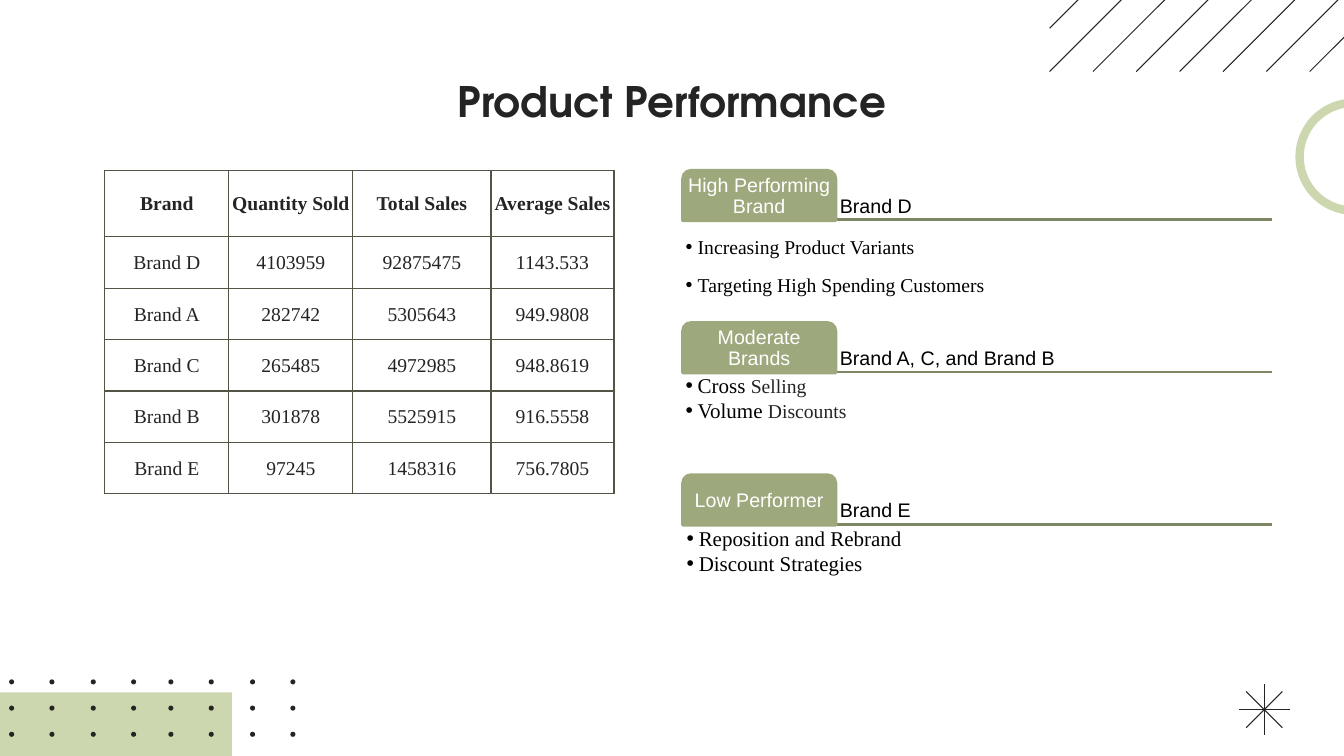
from lxml.etree import SubElement
from pptx import Presentation
from pptx.dml.color import RGBColor
from pptx.enum.shapes import MSO_CONNECTOR, MSO_SHAPE as SHAPE
from pptx.enum.text import MSO_ANCHOR as ANCHOR, PP_ALIGN as ALIGN
from pptx.oxml.ns import qn
from pptx.util import Pt

PX = 9144
COLORS = {
    "ink": "242424", "black": "000000", "white": "FFFFFF", "pale": "CCD6AF",
    "sage": "9DA87C", "rule": "7E8763", "border": "515544",
}
SERIF, SANS, DISPLAY = "Times New Roman", "Arial", "TeX Gyre Adventor"

SALES = [
    ("Brand", "Quantity Sold", "Total Sales", "Average Sales"),
    ("Brand D", "4103959", "92875475", "1143.533"),
    ("Brand A", "282742", "5305643", "949.9808"),
    ("Brand C", "265485", "4972985", "948.8619"),
    ("Brand B", "301878", "5525915", "916.5558"),
    ("Brand E", "97245", "1458316", "756.7805"),
]
TIERS = [
    ("High Performing Brand", "Brand D", 14, 1.5, 3,
     [["Increasing Product Variants"], ["Targeting High Spending Customers"]]),
    ("Moderate Brands", "Brand A, C, and Brand B", 15, 0.9, 3,
     [["Cross ", "Selling"], ["Volume ", "Discounts"]]),
    ("Low Performer", "Brand E", 15, 0.9, 4,
     [["Reposition and Rebrand"], ["Discount Strategies"]]),
]


def rgb(name):
    """Return the named colour."""
    return RGBColor.from_string(COLORS[name])


def px(*lengths):
    """Turn px lengths into EMU."""
    return [length * PX for length in lengths]


def set_font(font, name, size, color, bold=False):
    """Set the face, size, colour and weight of a font."""
    font.name, font.size, font.bold = name, Pt(size), bold
    font.color.rgb = rgb(color)


def set_frame(frame, inset, anchor):
    """Wrap a text frame and give it equal insets and an anchor."""
    frame.word_wrap = True
    frame.vertical_anchor = anchor
    frame.margin_left = frame.margin_right = inset * PX
    frame.margin_top = frame.margin_bottom = inset * PX


def add_line(slide, x1, y1, x2, y2, color="ink", width=0.75):
    """Draw a straight line without a shadow."""
    line = slide.shapes.add_connector(MSO_CONNECTOR.STRAIGHT, *px(x1, y1, x2, y2))
    line.line.color.rgb = rgb(color)
    line.line.width = Pt(width)
    SubElement(line._element.spPr, qn("a:effectLst"))


def add_block(slide, kind, box, fill=None, outline=None, width=2):
    """Draw a preset shape with an optional fill and outline."""
    block = slide.shapes.add_shape(kind, *px(*box))
    block.shadow.inherit = False
    if fill:
        block.fill.solid()
        block.fill.fore_color.rgb = rgb(fill)
    else:
        block.fill.background()
    if outline:
        block.line.color.rgb = rgb(outline)
        block.line.width = Pt(width)
    else:
        block.line.fill.background()
    return block


def add_text(slide, box, inset, anchor):
    """Add a wrapping text box and return its frame."""
    frame = slide.shapes.add_textbox(*px(*box)).text_frame
    set_frame(frame, inset, anchor)
    return frame


def asterisk(slide, left, top, size):
    """Draw four lines crossing at the middle of the box."""
    arm, diagonal = size // 2, 18
    x, y = left + arm, top + arm
    for dx, dy in ((diagonal, diagonal), (-diagonal, diagonal), (0, arm), (arm, 0)):
        add_line(slide, x - dx, y - dy, x + dx, y + dy)


def dotted_corner(slide, left, top, width, height):
    """Draw the pale band and its dot grid, two blocks of four columns."""
    add_block(slide, SHAPE.RECTANGLE, (left, top, width, height), "pale")
    for block in (9, 167):
        for column in (0, 40, 81, 121):
            for row in range(3):
                dot = (left + block + column, top - 13 + 26 * row, 5, 5)
                add_block(slide, SHAPE.OVAL, dot, "ink")


def hatching(slide, left, top, reach, step):
    """Draw slanted parallel lines, the first one cut at the left edge."""
    bottom = top + reach
    add_line(slide, left + 64, top, left, top + 64)
    for stripe in range(7):
        x = left + step * stripe
        add_line(slide, x + reach, top, x, bottom)


def heading(slide, box):
    """Write the slide title."""
    title = add_text(slide, box, 10, ANCHOR.TOP).paragraphs[0]
    title.text = "Product Performance"
    title.alignment = ALIGN.CENTER
    set_font(title.font, DISPLAY, 30, "ink", True)


def border_cell(cell):
    """Give a table cell a thin border on every side."""
    properties = cell._tc.get_or_add_tcPr()
    for index, side in enumerate(("lnL", "lnR", "lnT", "lnB")):
        edge = properties.makeelement(qn(f"a:{side}"), {"w": str(Pt(1))})
        paint = SubElement(edge, qn("a:solidFill"))
        SubElement(paint, qn("a:srgbClr"), val=COLORS["border"])
        properties.insert(index, edge)


def sales_table(slide, left, top, column_widths, row_heights):
    """Build the table of sales per brand."""
    box = px(left, top, sum(column_widths), sum(row_heights))
    table = slide.shapes.add_table(len(SALES), len(SALES[0]), *box).table
    for column, width in zip(table.columns, column_widths):
        column.width = width * PX
    for r, (row, height, values) in enumerate(zip(table.rows, row_heights, SALES)):
        row.height = height * PX
        for cell, value in zip(row.cells, values):
            cell.vertical_anchor = ANCHOR.MIDDLE
            cell.margin_left = cell.margin_right = cell.margin_top = PX
            cell.margin_bottom = 0
            cell.fill.solid()
            cell.fill.fore_color.rgb = rgb("white")
            border_cell(cell)
            entry = cell.text_frame.paragraphs[0]
            entry.text = value
            entry.alignment = ALIGN.CENTER
            set_font(entry.font, SERIF, 14, "ink", r == 0)


def add_bullet(bullet, parts, size, spacing):
    """Fill one bullet paragraph; a second part is smaller and grey."""
    properties = bullet._p.get_or_add_pPr()
    properties.set("marL", str(12 * PX))
    properties.set("indent", str(-12 * PX))
    SubElement(SubElement(properties, qn("a:buClr")), qn("a:srgbClr"), val=COLORS["black"])
    SubElement(properties, qn("a:buFont"), typeface=SANS)
    SubElement(properties, qn("a:buChar"), char="•")
    bullet.line_spacing = spacing
    bullet.space_after = Pt(2)
    set_font(bullet.font, SERIF, size, "black")
    for index, part in enumerate(parts):
        run = bullet.add_run()
        run.text = part
        if index:
            set_font(run.font, SERIF, 14, "ink")


def tier(slide, left, top, width, content):
    """Draw a tier: tab, brand names, rule and actions."""
    label, brands, size, spacing, inset, actions = content
    tab_width, tab_height = 152, 50
    base = top + tab_height - 1
    add_line(slide, left, base, left + width, base, "rule", 2)
    names_box = (left + tab_width + 1, top, width - tab_width, tab_height)
    names = add_text(slide, names_box, 3, ANCHOR.BOTTOM)
    tab = add_block(slide, SHAPE.ROUND_2_SAME_RECTANGLE,
                    (left, top, tab_width, tab_height), "sage", "sage")
    set_frame(tab.text_frame, 1, ANCHOR.MIDDLE)
    for frame, words, color, align in (
        (names, brands, "black", ALIGN.LEFT),
        (tab.text_frame, label, "white", ALIGN.CENTER),
    ):
        line = frame.paragraphs[0]
        line.text = words
        line.alignment = align
        line.line_spacing = 0.9
        set_font(line.font, SANS, 14, color)
    frame = add_text(slide, (left, base, width, 99), inset, ANCHOR.TOP)
    for index, parts in enumerate(actions):
        bullet = frame.add_paragraph() if index else frame.paragraphs[0]
        add_bullet(bullet, parts, size, spacing)


def main():
    """Build and save the slide."""
    deck = Presentation()
    deck.slide_width, deck.slide_height = px(1333, 750)
    slide = deck.slides.add_slide(deck.slide_layouts[6])
    asterisk(slide, 1229, 679, 50)
    dotted_corner(slide, 0, 687, 230, 63)
    hatching(slide, 1041, -36, 107, 43)
    add_block(slide, SHAPE.OVAL, (1289, 102, 107, 107), outline="pale", width=6)
    heading(slide, (105, 65, 1123, 84))
    sales_table(slide, 104, 169, (123, 123, 137, 122), (66, 51, 51, 51, 51, 51))
    for index, content in enumerate(TIERS):
        tier(slide, 677, 169 + 151 * index, 585, content)
    deck.save("out.pptx")


if __name__ == "__main__":
    main()
